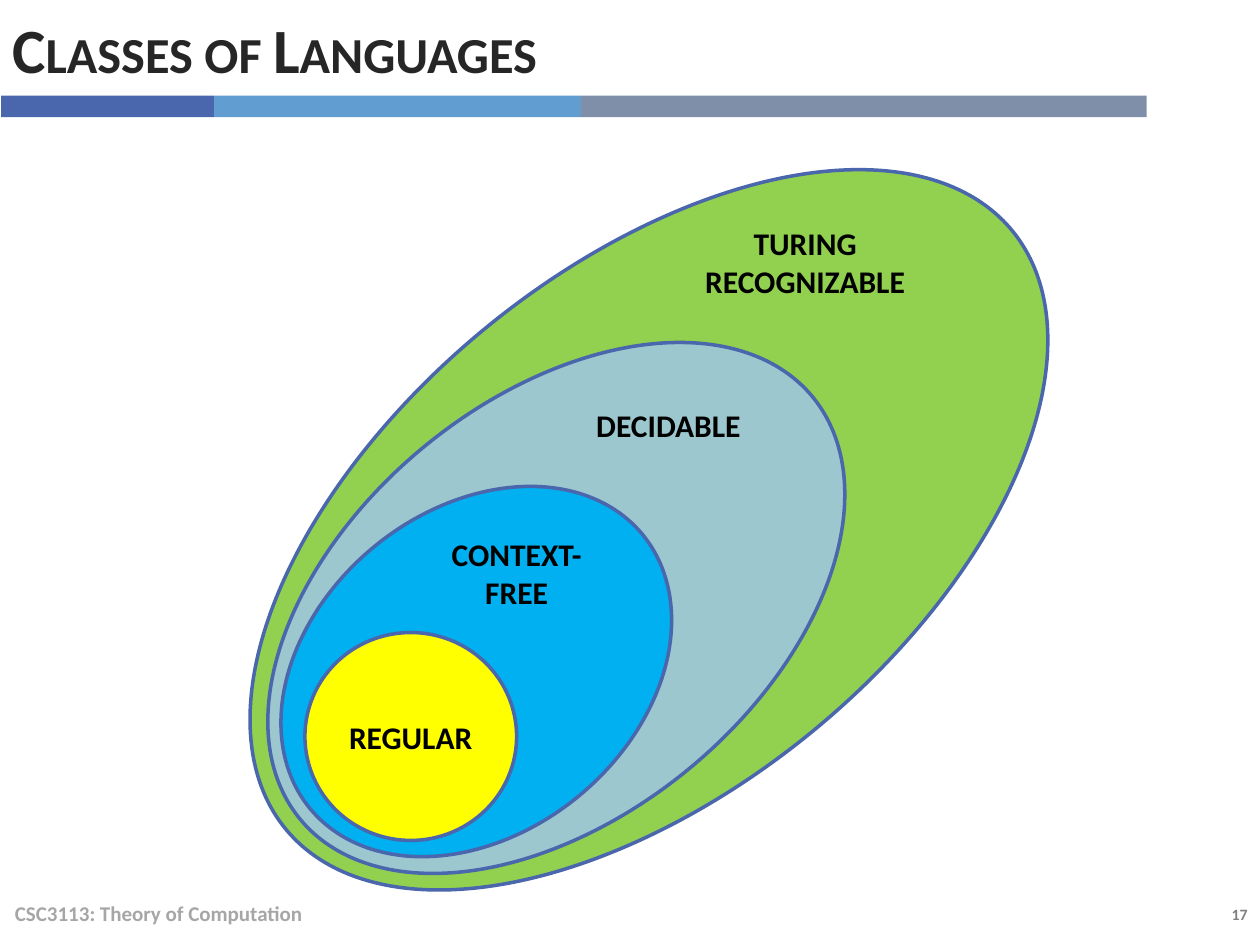
from pptx import Presentation, util as u
from pptx.dml.color import RGBColor
from pptx.enum import shapes, text

W, H = 10, 7.5
LEFT, CENTER, RIGHT = text.PP_ALIGN.LEFT, text.PP_ALIGN.CENTER, text.PP_ALIGN.RIGHT
OUTLINE, TILT = "4A66AC", 50.5
BAR_LEFT, BAR_TOP, BAR_HEIGHT = 0.01, 0.76, 0.17

BARS = [(1.69, "4A66AC"), (2.91, "629DD1"), (4.49, "7F8FA9")]
CLASSES = [
    ((3.09, 0.47, 4.12, 7.47), TILT, "92D050"),
    ((2.76, 2.19, 3.31, 5.27), TILT, "9CC7CE"),
    ((2.5, 3.62, 2.56, 3.42), TILT, "00B0F0"),
    ((2.42, 5.02, 1.68, 1.65), 0, "FFFF00"),
]
LABELS = [
    ("REGULAR", (2.42, 5.02, 1.68, 1.65)),
    ("CONTEXT-FREE", (3.26, 4.17, 1.68, 0.76)),
    ("DECIDABLE", (4.6, 2.99, 1.41, 0.76)),
    ("TURING RECOGNIZABLE", (5.2, 1.7, 2.38, 0.76)),
]
TEXTS = [
    ("Classes of Languages", (0, 0, 9.1, 0.76), 36, "262626", LEFT),
    ("CSC3113: Theory of Computation", (0.02, 7.05, 6.7, 0.4), 12, "A6A6A6", LEFT),
    ("17", (8.73, 7.13, 1.27, 0.25), 9, "808080", RIGHT),
]


def color(hex_value):
    return RGBColor.from_string(hex_value)


def inches(box):
    return [u.Inches(v) for v in box]


def add_shape(s, kind, box, fill, line=None, rotation=0):
    sp = s.shapes.add_shape(kind, *inches(box))
    sp.shadow.inherit = False
    sp.rotation = rotation
    sp.fill.solid()
    sp.fill.fore_color.rgb = color(fill)
    if line:
        sp.line.color.rgb = color(line)
        sp.line.width = u.Pt(2)
    else:
        sp.line.fill.background()
    return sp


def write(sp, words, size, hex_value, align):
    tf = sp.text_frame
    tf.word_wrap = True
    tf.vertical_anchor = text.MSO_ANCHOR.MIDDLE
    p = tf.paragraphs[0]
    p.alignment = align
    r = p.add_run()
    r.text = words
    for name, value in {"name": "Calibri", "size": u.Pt(size), "bold": True}.items():
        setattr(r.font, name, value)
    r.font.color.rgb = color(hex_value)
    return r


def main():
    prs = Presentation()
    prs.slide_width, prs.slide_height = inches((W, H))
    s = prs.slides.add_slide(prs.slide_layouts[6])

    left = BAR_LEFT
    for width, fill in BARS:
        add_shape(s, shapes.MSO_SHAPE.RECTANGLE, (left, BAR_TOP, width, BAR_HEIGHT), fill)
        left += width

    for box, rotation, fill in CLASSES:
        oval = add_shape(s, shapes.MSO_SHAPE.OVAL, box, fill, OUTLINE, rotation)

    (inner, _), *outer = LABELS
    write(oval, inner, 18, "000000", CENTER)
    items = TEXTS + [(words, box, 18, "000000", CENTER) for words, box in outer]
    runs = [write(s.shapes.add_textbox(*inches(box)), words, *style)
            for words, box, *style in items]
    runs[0].font._element.set("cap", "small")

    prs.save("out.pptx")


if __name__ == "__main__":
    main()
